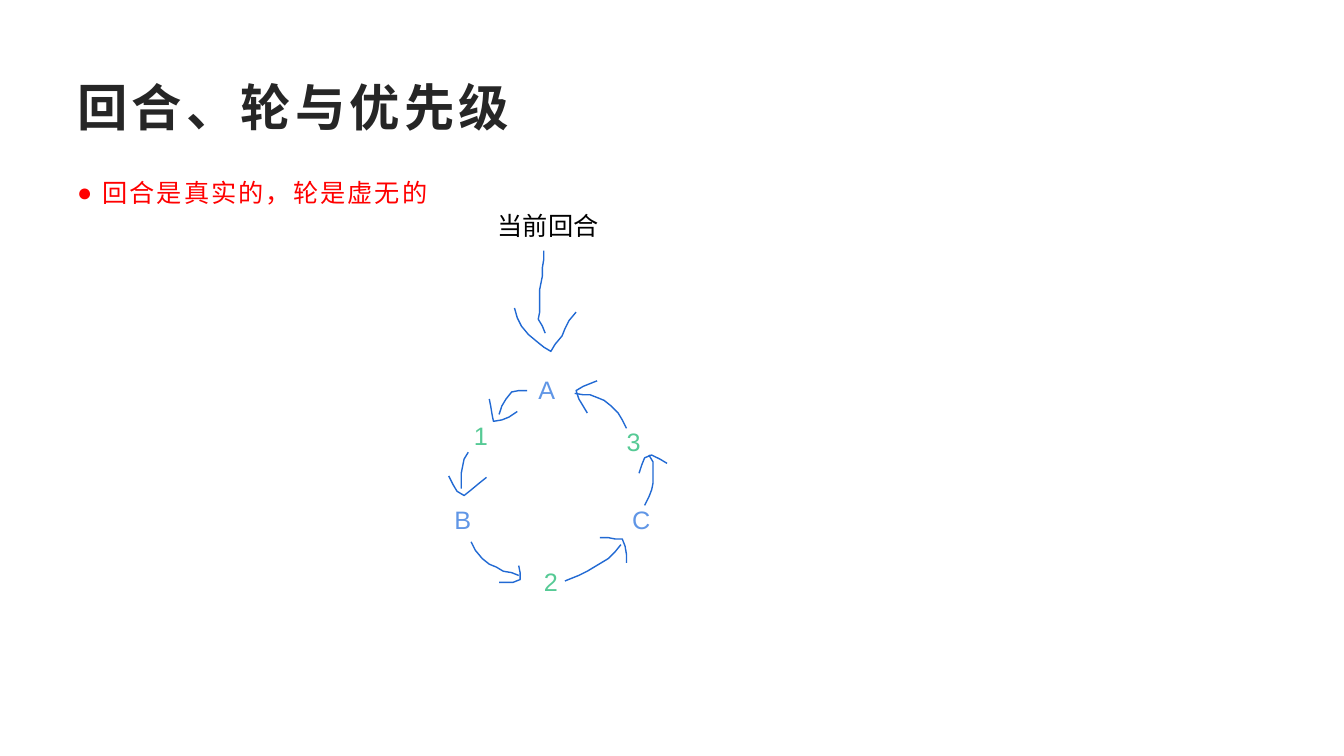
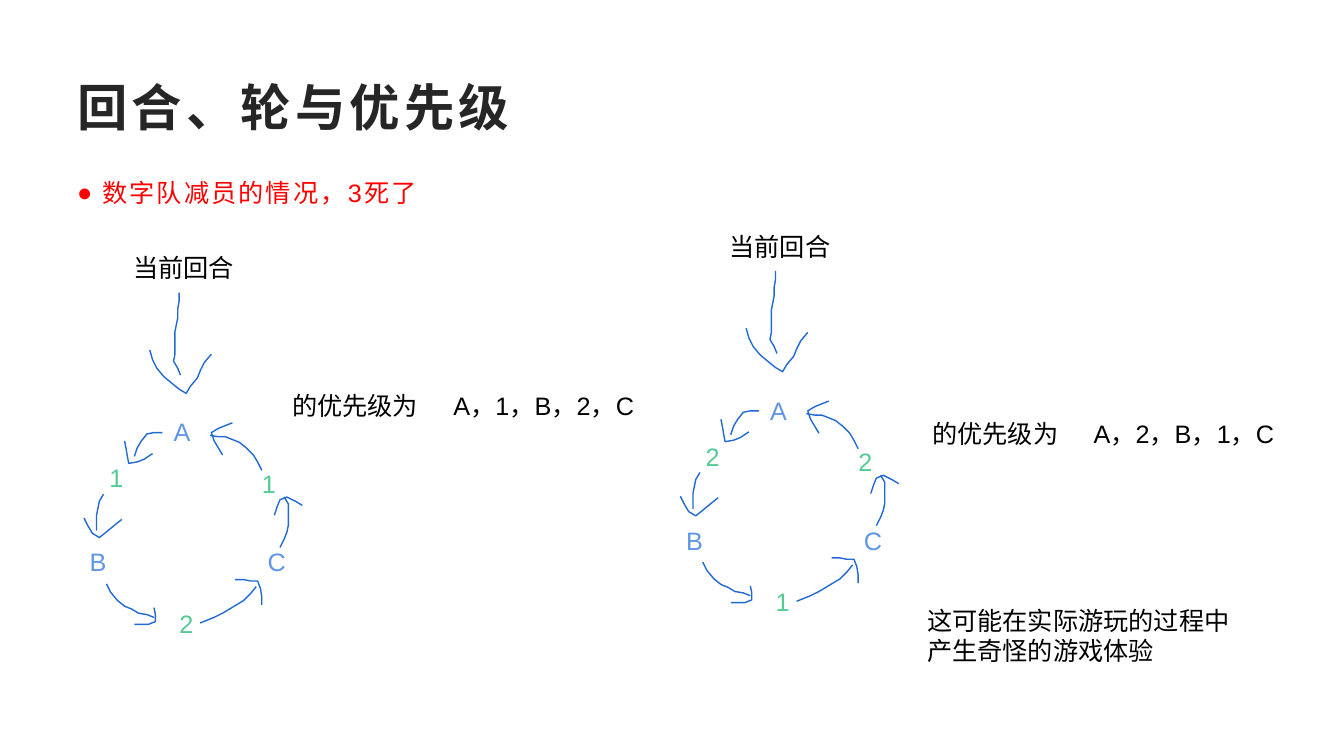
from lxml import etree
from pptx import Presentation
from pptx.dml.color import RGBColor
from pptx.enum.text import MSO_ANCHOR
from pptx.oxml.ns import qn
from pptx.util import Pt

MIDDLE, TOP = MSO_ANCHOR.MIDDLE, MSO_ANCHOR.TOP

FONT = "Arial"
TITLE_COLOR, POINT_COLOR, TEXT_COLOR = "262626", "FF0000", "000000"
LETTER_COLOR, NUMBER_COLOR, STROKE_COLOR = "6096E6", "56CA95", "2169D3"
LINE_HEIGHT = 29

# Hand-drawn strokes, in points from the corner of the turn cycle
STROKES = [
    # current turn to A
    [(71, 32), (71, 38), (70, 44), (70, 50), (69, 55), (68, 60), (68, 65),
     (68, 71), (68, 76), (67, 81), (70, 86), (72, 91)],
    [(50, 73), (52, 80), (55, 86), (60, 92), (66, 97), (71, 101), (76, 104),
     (79, 99), (84, 93), (86, 88), (89, 82), (94, 76)],
    # A to left number
    [(59, 132), (53, 132), (48, 133), (44, 138), (41, 143), (39, 149)],
    [(32, 138), (33, 143), (34, 149), (35, 154), (41, 153), (46, 151), (52, 147)],
    # left number to B
    [(17, 176), (14, 181), (13, 186), (12, 191), (12, 197), (12, 202)],
    [(3, 193), (6, 199), (9, 204), (14, 207), (19, 203), (25, 198), (30, 194)],
    # B to bottom number
    [(19, 240), (22, 246), (27, 252), (32, 256), (37, 258), (42, 261),
     (48, 262), (53, 264)],
    [(39, 269), (44, 269), (49, 269), (54, 267), (54, 262), (53, 257)],
    # bottom number to C
    [(86, 268), (91, 266), (96, 264), (102, 261), (107, 258), (112, 255),
     (117, 252), (122, 247), (126, 242)],
    [(111, 237), (117, 237), (122, 238), (127, 238), (129, 243), (130, 249),
     (130, 255)],
    # C to right number
    [(143, 214), (146, 208), (148, 203), (149, 198), (149, 193), (149, 188),
     (149, 183), (146, 178)],
    [(139, 191), (141, 185), (143, 180), (148, 178), (154, 181), (159, 184)],
    # right number to A
    [(130, 159), (127, 153), (124, 148), (119, 143), (114, 139), (109, 137),
     (104, 135), (99, 135), (93, 134)],
    [(102, 148), (99, 143), (96, 138), (94, 132), (99, 129), (104, 127),
     (109, 125)],
]

# Places around the cycle: left, top, width
LETTER_PLACES = {"A": (60, 117, 29), "B": (0, 210, 29), "C": (127, 210, 29)}
NUMBER_PLACES = [(14, 150, 22), (64, 254, 35), (123, 154, 32)]


def rgb(hex_color):
    return RGBColor.from_string(hex_color)


def add_text(slide, box, text, color=TEXT_COLOR, size=18, bold=False,
             tracking=0, anchor=TOP):
    frame = slide.shapes.add_textbox(*(Pt(v) for v in box)).text_frame
    frame.word_wrap = True
    frame.vertical_anchor = anchor
    frame.text = text
    paragraph = frame.paragraphs[0]
    run = paragraph.runs[0]
    run.font.name, run.font.size, run.font.bold = FONT, Pt(size), bold
    run.font.color.rgb = rgb(color)
    if tracking:
        run.font._element.set("spc", str(round(tracking * 100)))
    return paragraph


def add_heading(slide, box, title, point):
    left, top, width, _ = box
    add_text(slide, (left, top, width, 55.5), title, TITLE_COLOR, 36, True, 3, MIDDLE)
    # Bulleted key point below the title
    paragraph = add_text(slide, (left, top + 69, width, 47), point, POINT_COLOR,
                         tracking=1.5)
    paragraph.line_spacing = 1.3
    paragraph.space_after = Pt(10)
    properties = paragraph._p.get_or_add_pPr()
    properties.set("marL", str(Pt(18)))
    properties.set("indent", str(-Pt(18)))
    etree.SubElement(properties, qn("a:buFont"), typeface=FONT)
    etree.SubElement(properties, qn("a:buChar"), char="●")


def add_stroke(slide, left, top, points):
    (start_x, start_y), *rest = [(Pt(left + x), Pt(top + y)) for x, y in points]
    builder = slide.shapes.build_freeform(start_x, start_y)
    builder.add_line_segments(rest, close=False)
    stroke = builder.convert_to_shape()
    stroke.shadow.inherit = False
    stroke.fill.background()
    stroke.line.color.rgb = rgb(STROKE_COLOR)
    stroke.line.width = Pt(1)


def add_cycle(slide, left, top, numbers):
    """Turn cycle; numbers run from the left one through bottom to right."""
    add_text(slide, (left + 31, top, 155, LINE_HEIGHT), "当前回合")
    for points in STROKES:
        add_stroke(slide, left, top, points)
    members = [(name, place, LETTER_COLOR) for name, place in LETTER_PLACES.items()]
    members += [(name, place, NUMBER_COLOR)
                for name, place in zip(numbers, NUMBER_PLACES)]
    for name, (x, y, width), color in members:
        add_text(slide, (left + x, top + y, width, LINE_HEIGHT), name, color)


def add_priority(slide, left, top, order):
    add_text(slide, (left, top, 148, LINE_HEIGHT), "的优先级为")
    add_text(slide, (left + 115.2, top, 146, LINE_HEIGHT), order)


def add_topic_slide(deck, point):
    slide = deck.slides.add_slide(deck.slide_layouts[6])
    add_heading(slide, (48, 48, 864, 116), "回合、轮与优先级", point)
    return slide


deck = Presentation()
deck.slide_width, deck.slide_height = Pt(960), Pt(540)

# Turns and rounds
rounds = add_topic_slide(deck, "回合是真实的，轮是虚无的")
add_cycle(rounds, 317.5, 147, "123")

# Number team loses a member
losses = add_topic_slide(deck, "数字队减员的情况，3死了")
add_cycle(losses, 57, 177, "121")
add_priority(losses, 201.6, 275, "A，1，B，2，C")
add_cycle(losses, 483, 161.5, "212")
add_priority(losses, 658.8, 295.2, "A，2，B，1，C")
add_text(losses, (655.2, 429, 235, 51), "这可能在实际游玩的过程中产生奇怪的游戏体验")

deck.save("out.pptx")
